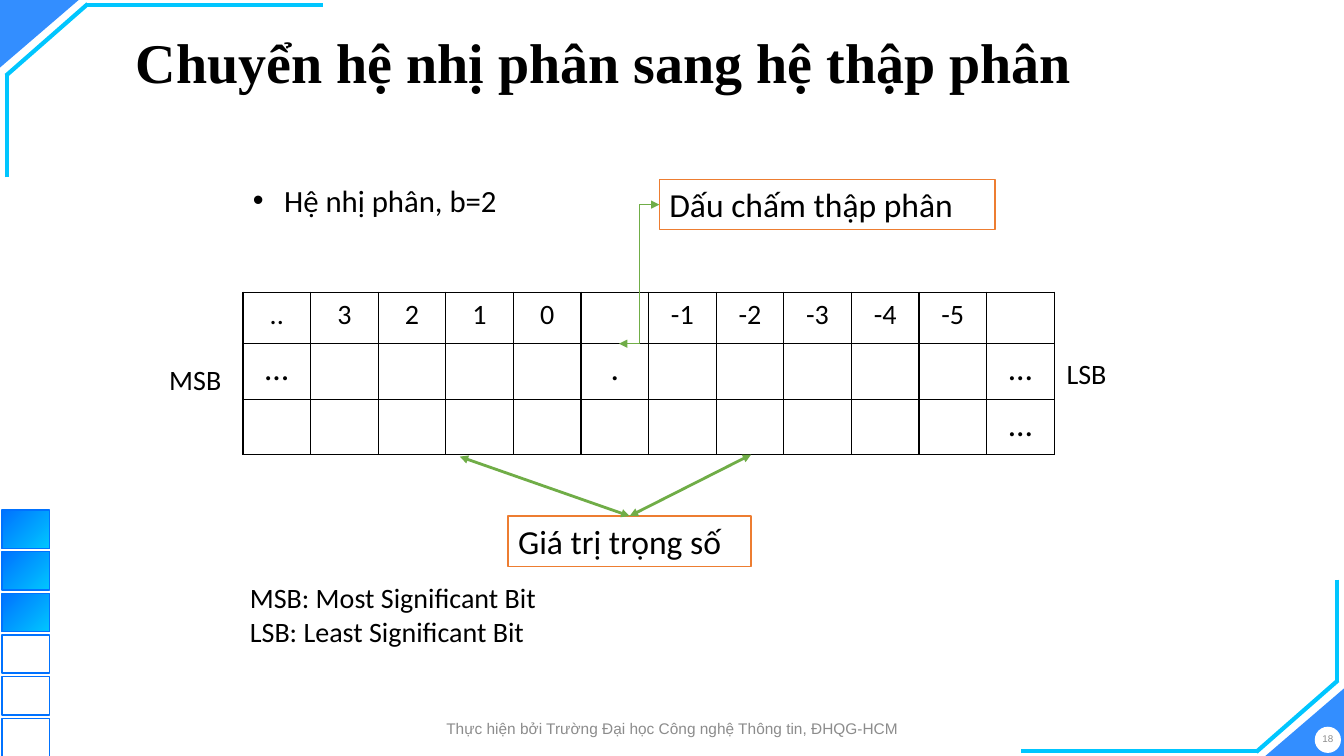
from lxml import etree
from pptx import Presentation
from pptx.dml.color import RGBColor
from pptx.enum.shapes import MSO_CONNECTOR, MSO_SHAPE
from pptx.enum.text import MSO_ANCHOR, PP_ALIGN
from pptx.oxml.ns import qn
from pptx.util import Inches, Pt

STRAIGHT, ELBOW = MSO_CONNECTOR.STRAIGHT, MSO_CONNECTOR.ELBOW
RECTANGLE = MSO_SHAPE.RECTANGLE
LEFT, CENTER = PP_ALIGN.LEFT, PP_ALIGN.CENTER
TOP, MIDDLE = MSO_ANCHOR.TOP, MSO_ANCHOR.MIDDLE
COLORS = {
    "blue": "0072FF", "cyan": "00C6FF", "white": "FFFFFF", "black": "000000",
    "orange": "ED7D31", "green": "70AD47", "gray": "8C8C8C",
}
COLORS = {name: RGBColor.from_string(value) for name, value in COLORS.items()}

presentation = Presentation()
presentation.slide_width, presentation.slide_height = Inches(13.33), Inches(7.5)
slide = presentation.slides.add_slide(presentation.slide_layouts[6])


def write(frame, text, size=20, font="Calibri", color="black", bold=False,
          align=LEFT, anchor=TOP, spacing=None):
    frame.word_wrap = True
    frame.vertical_anchor = anchor
    for index, line in enumerate(text.split("\n")):
        paragraph = frame.add_paragraph() if index else frame.paragraphs[0]
        paragraph.alignment = align
        paragraph.line_spacing = spacing
        run = paragraph.add_run()
        run.text = line
        run.font.name, run.font.size, run.font.bold = font, Pt(size), bold
        run.font.color.rgb = COLORS[color]


def connect(start, end, color, width, kind=STRAIGHT, arrows=False):
    connector = slide.shapes.add_connector(kind, *map(Inches, start + end))
    connector.line.color.rgb = COLORS[color]
    connector.line.width = Pt(width)
    properties = connector.element.spPr
    if arrows:
        line = properties.find(qn("a:ln"))
        for tag in ("a:headEnd", "a:tailEnd"):
            etree.SubElement(line, qn(tag), type="triangle")
    etree.SubElement(properties, qn("a:effectLst"))
    return connector


corners = [
    (0, 0, 180, [(3.2, 0.05), (0.85, 0.05)], [(0.87, 0.04), (0.06, 0.75)], [(0.07, 1.76), (0.07, 0.73)]),
    (12.55, 6.83, 0, [(10.13, 7.45), (12.48, 7.45)], [(12.46, 7.46), (13.27, 6.75)], [(13.26, 5.75), (13.26, 6.77)]),
]
for left, top, rotation, *edges in corners:
    corner = slide.shapes.add_shape(MSO_SHAPE.ISOSCELES_TRIANGLE, Inches(left), Inches(top), Inches(0.78), Inches(0.67))
    corner.adjustments[0] = 1
    corner.rotation = rotation
    corner.shadow.inherit = False
    corner.fill.solid()
    corner.fill.fore_color.rgb = COLORS["blue"]
    color_element = corner.element.spPr.find(qn("a:solidFill"))[0]
    etree.SubElement(color_element, qn("a:alpha"), val="80000")
    corner.line.fill.background()
    for start, end in edges:
        connect(start, end, "cyan", 3)

badge = slide.shapes.add_shape(MSO_SHAPE.OVAL, Inches(13.04), Inches(7.21), Inches(0.26), Inches(0.26))
badge.shadow.inherit = False
badge.fill.solid()
badge.fill.fore_color.rgb = COLORS["white"]
badge.line.fill.background()

for index in range(6):
    square = slide.shapes.add_shape(RECTANGLE, Inches(0.02), Inches(5.06 + 0.413 * index), Inches(0.47), Inches(0.38))
    square.shadow.inherit = False
    square.line.color.rgb = COLORS["blue"]
    square.line.width = Pt(1)
    if index < 3:
        square.fill.gradient()
        square.fill.gradient_angle = 315
        for stop, name, position in zip(square.fill.gradient_stops, ("blue", "cyan"), (0, 1)):
            stop.color.rgb = COLORS[name]
            stop.position = position
    else:
        square.fill.background()

texts = [
    ("Chuyển hệ nhị phân sang hệ thập phân", 1.25, 0.16, 11.5, 0.98,
     dict(size=40, font="Times New Roman", bold=True, anchor=MIDDLE, spacing=0.9)),
    ("MSB", 1.58, 3.55, 0.81, 0.44, {}),
    ("LSB", 10.48, 3.49, 0.73, 0.44, {}),
    ("MSB: Most Significant Bit\nLSB: Least Significant Bit", 2.38, 5.71, 3.36, 0.77, {}),
    ("Thực hiện bởi Trường Đại học Công nghệ Thông tin, ĐHQG-HCM", 3.99, 7.08, 5.36, 0.29,
     dict(size=11, font="Arial", color="gray", align=CENTER, anchor=MIDDLE)),
    ("18", 13.01, 7.17, 0.32, 0.32,
     dict(size=7, font="Arial", color="gray", align=CENTER, anchor=MIDDLE)),
]
for text, left, top, width, height, style in texts:
    box = slide.shapes.add_textbox(*map(Inches, (left, top, width, height)))
    write(box.text_frame, text, **style)

rows = [
    (0.51, 20, ["..", "3", "2", "1", "0", "", "-1", "-2", "-3", "-4", "-5", ""]),
    (0.55, 24, ["…", "", "", "", "", ".", "", "", "", "", "", "…"]),
    (0.55, 24, [""] * 11 + ["…"]),
]
bit_table = slide.shapes.add_table(3, 12, Inches(2.41), Inches(2.9), Inches(8.05), Inches(1.61)).table
bit_table.first_row = bit_table.horz_banding = False
for column in bit_table.columns:
    column.width = Inches(8.05 / 12)
for row_index, (height, size, values) in enumerate(rows):
    bit_table.rows[row_index].height = Inches(height)
    for column_index, value in enumerate(values):
        cell = bit_table.cell(row_index, column_index)
        if value:
            write(cell.text_frame, value, size=size, align=CENTER)
        properties = cell._tc.get_or_add_tcPr()
        for side in ("a:lnL", "a:lnR", "a:lnT", "a:lnB"):
            border = etree.SubElement(properties, qn(side), w=str(Pt(0.96)))
            fill = etree.SubElement(border, qn("a:solidFill"))
            etree.SubElement(fill, qn("a:srgbClr"), val=str(COLORS["black"]))
        cell.fill.background()

labels = {}
for text, left, top, width, height, size, outline in [
    ("Dấu chấm thập phân", 6.54, 1.78, 3.33, 0.5, 24, "orange"),
    ("Giá trị trọng số", 5.04, 5.12, 2.41, 0.5, 24, "orange"),
    ("Hệ nhị phân, b=2", 2.41, 1.75, 2.88, 0.47, 22, None),
]:
    label = slide.shapes.add_shape(RECTANGLE, *map(Inches, (left, top, width, height)))
    label.shadow.inherit = False
    label.fill.solid()
    label.fill.fore_color.rgb = COLORS["white"]
    if outline:
        label.line.color.rgb = COLORS[outline]
        label.line.width = Pt(1)
    else:
        label.line.fill.background()
    write(label.text_frame, text, size=size)
    labels[text] = label

bullet_properties = labels["Hệ nhị phân, b=2"].text_frame.paragraphs[0]._p.get_or_add_pPr()
bullet_properties.set("marL", str(Inches(0.31)))
bullet_properties.set("indent", str(-Inches(0.31)))
etree.SubElement(bullet_properties, qn("a:buFont"), typeface="Arial")
etree.SubElement(bullet_properties, qn("a:buChar"), char="•")

point_arrow = connect((6.14, 3.41), (6.54, 2.03), "green", 1, ELBOW, arrows=True)
point_arrow.end_connect(labels["Dấu chấm thập phân"], 1)
for target in [(4.56, 4.53), (7.45, 4.51)]:
    weight_arrow = connect((6.25, 5.12), target, "green", 0, arrows=True)
    weight_arrow.begin_connect(labels["Giá trị trọng số"], 0)

presentation.save("out.pptx")
